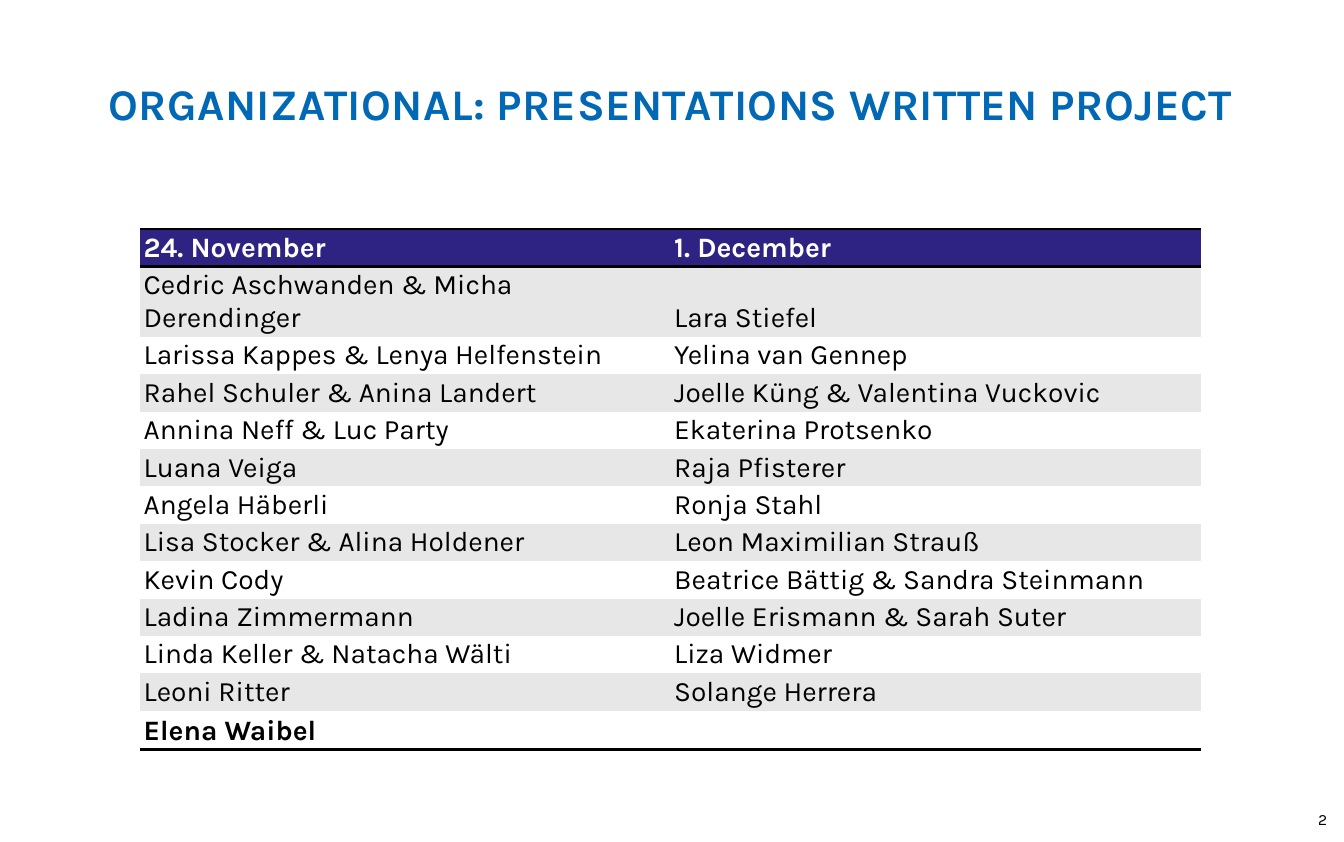
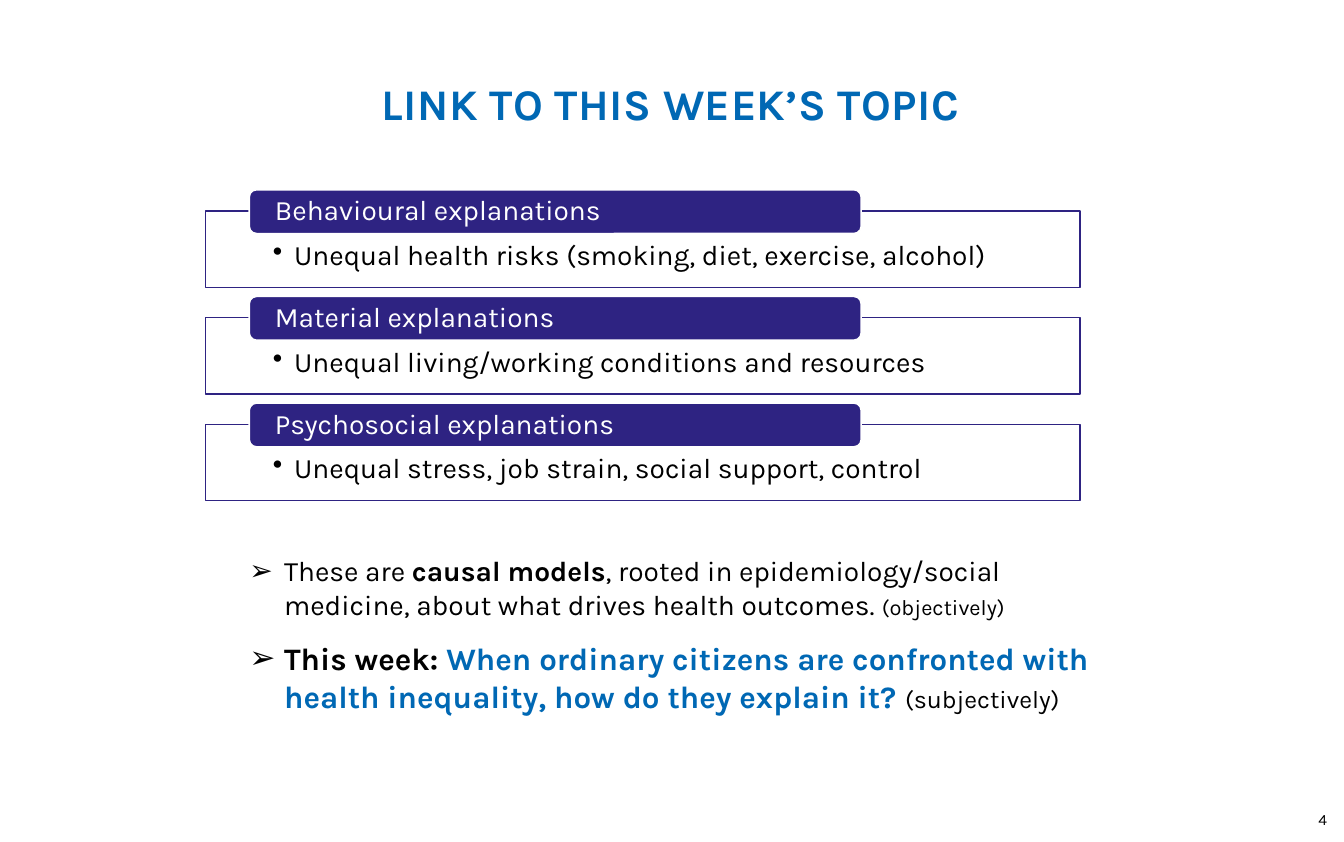
"""Build two course slides: a presentation schedule and a topic link."""
from lxml.etree import SubElement as Sub
from pptx import Presentation
from pptx.dml.color import RGBColor as RGB
from pptx.enum.shapes import MSO_SHAPE as SHAPE
from pptx.enum.text import MSO_ANCHOR as ANCHOR, MSO_AUTO_SIZE as AUTO, PP_ALIGN as ALIGN
from pptx.oxml.ns import qn
from pptx.util import Inches, Pt

HUES = {"blue": "0068B4", "navy": "2E2382", "gray": "E7E7E7", "white": "FFFFFF", "black": "000000"}
HUE = {name: RGB.from_string(code) for name, code in HUES.items()}
SIDES = ("margin_left", "margin_top", "margin_right", "margin_bottom")


def write(para, *runs):
    for text, size, hue, bold in runs:
        run = para.add_run()
        run.text = text
        for key, val in {"name": "Karla", "size": Pt(size), "bold": bold}.items():
            setattr(run.font, key, val)
        run.font.color.rgb = HUE[hue]


def setup(frame, insets, anchor=ANCHOR.TOP):
    look = {"word_wrap": True, "auto_size": AUTO.NONE, "vertical_anchor": anchor}
    look.update(zip(SIDES, map(Inches, insets)))
    for key, val in look.items():
        setattr(frame, key, val)
    return frame.paragraphs[0]


deck = Presentation()
deck.slide_width, deck.slide_height = Inches(11.97), Inches(7.5)

slides = []
for title, num, kind in [
    ("ORGANIZATIONAL: PRESENTATIONS WRITTEN PROJECT", "2", 5),
    ("LINK TO THIS WEEK’S TOPIC", "4", 1),
]:
    slide = deck.slides.add_slide(deck.slide_layouts[kind])
    slides.append(slide)
    head = slide.shapes.title
    head.left, head.top, head.width, head.height = map(Inches, (0.55, 0.72, 10.85, 0.41))
    para = setup(head.text_frame, (0, 0, 0, 0))
    para.alignment, para.line_spacing = ALIGN.CENTER, 0.95
    write(para, (title, 28, "blue", True))
    para.runs[0]._r.get_or_add_rPr().set("spc", "30")
    foot = slide.shapes.add_textbox(*map(Inches, (11.03, 7.14, 0.79, 0.24)))
    para = setup(foot.text_frame, (0, 0, 0, 0), ANCHOR.BOTTOM)
    para.alignment = ALIGN.RIGHT
    write(para, (num, 10, "black", False))
plan, link = slides

rows = [
    ("24. November", "1. December"),
    ("Cedric Aschwanden & Micha Derendinger", "Lara Stiefel"),
    ("Larissa Kappes & Lenya Helfenstein", "Yelina van Gennep"),
    ("Rahel Schuler & Anina Landert", "Joelle Küng & Valentina Vuckovic"),
    ("Annina Neff & Luc Party", "Ekaterina Protsenko"),
    ("Luana Veiga", "Raja Pfisterer"),
    ("Angela Häberli", "Ronja Stahl"),
    ("Lisa Stocker & Alina Holdener", "Leon Maximilian Strauß"),
    ("Kevin Cody", "Beatrice Bättig & Sandra Steinmann"),
    ("Ladina Zimmermann", "Joelle Erismann & Sarah Suter"),
    ("Linda Keller & Natacha Wälti", "Liza Widmer"),
    ("Leoni Ritter", "Solange Herrera"),
    ("Elena Waibel", ""),
]
count = len(rows)
rules = (0, 1, count)
table = plan.shapes.add_table(
    count, 2, Inches(1.25), Inches(2.04), Inches(9.45), Inches(0.33 * count)).table
table.first_row = False
table.horz_banding = False
for i, names in enumerate(rows):
    for j, name in enumerate(names):
        cell = table.cell(i, j)
        cell.vertical_anchor = ANCHOR.BOTTOM
        for side, inset in zip(SIDES, (0.03, 0.02, 0.03, 0.02)):
            setattr(cell, side, Inches(inset))
        props = cell._tc.get_or_add_tcPr()
        for edge, drawn in (("L", False), ("R", False), ("T", i in rules), ("B", i + 1 in rules)):
            line = Sub(props, qn("a:ln" + edge), w="25400")
            if drawn:
                Sub(Sub(line, qn("a:solidFill")), qn("a:srgbClr"), val=HUES["black"])
            else:
                Sub(line, qn("a:noFill"))
        cell.fill.solid()
        cell.fill.fore_color.rgb = HUE["navy" if i == 0 else "gray" if i % 2 else "white"]
        if name:
            write(cell.text_frame.paragraphs[0],
                  (name, 18, "black" if i else "white", i in (0, count - 1)))

lists = []
for i, (label, note) in enumerate([
    ("Behavioural explanations", "Unequal health risks (smoking, diet, exercise, alcohol)"),
    ("Material explanations", "Unequal living/working conditions and resources"),
    ("Psychosocial explanations", "Unequal stress, job strain, social support, control"),
]):
    top = 1.88 + 0.95 * i
    for form, spot, fill, edge, insets, anchor, text, ink in [
        (SHAPE.RECTANGLE, (1.83, top, 7.79, 0.68), "white", "navy",
         (0.6, 0.27, 0.6, 0.14), ANCHOR.TOP, note, "black"),
        (SHAPE.ROUNDED_RECTANGLE, (2.22, top - 0.19, 5.45, 0.39), "navy", "white",
         (0.21, 0, 0.21, 0), ANCHOR.MIDDLE, label, "white"),
    ]:
        box = link.shapes.add_shape(form, *map(Inches, spot))
        box.shadow.inherit = False
        box.fill.solid()
        box.fill.fore_color.rgb = HUE[fill]
        box.line.color.rgb, box.line.width = HUE[edge], Pt(1)
        para = setup(box.text_frame, insets, anchor)
        para.alignment, para.line_spacing = ALIGN.LEFT, 0.9
        if text == note:
            lists.append((para, "•", 0.19))
        write(para, (text, 18, ink, False))

body = link.placeholders[1]
body.left, body.top, body.width, body.height = map(Inches, (2.12, 4.88, 7.73, 1.55))
first = setup(body.text_frame, (0.1, 0.05, 0.1, 0.05))
second = body.text_frame.add_paragraph()
for para, gap in ((first, 0), (second, 12)):
    para.space_before = Pt(gap)
    lists.append((para, "➢", 0.31))
for para, mark, dent in lists:
    props = para._p.get_or_add_pPr()
    props.set("marL", str(int(Inches(dent))))
    props.set("indent", str(-int(Inches(dent))))
    Sub(props, qn("a:buChar"), char=mark)
write(first,
      ("These are ", 18, "black", False),
      ("causal models", 18, "black", True),
      (", rooted in epidemiology/social medicine, about what drives health outcomes. ",
       18, "black", False),
      ("(objectively)", 14, "black", False))
write(second,
      ("This week: ", 20, "black", True),
      ("When ordinary citizens are confronted with health inequality, how do they explain it? ",
       20, "blue", True),
      ("(subjectively)", 16, "black", False))

deck.save("out.pptx")
